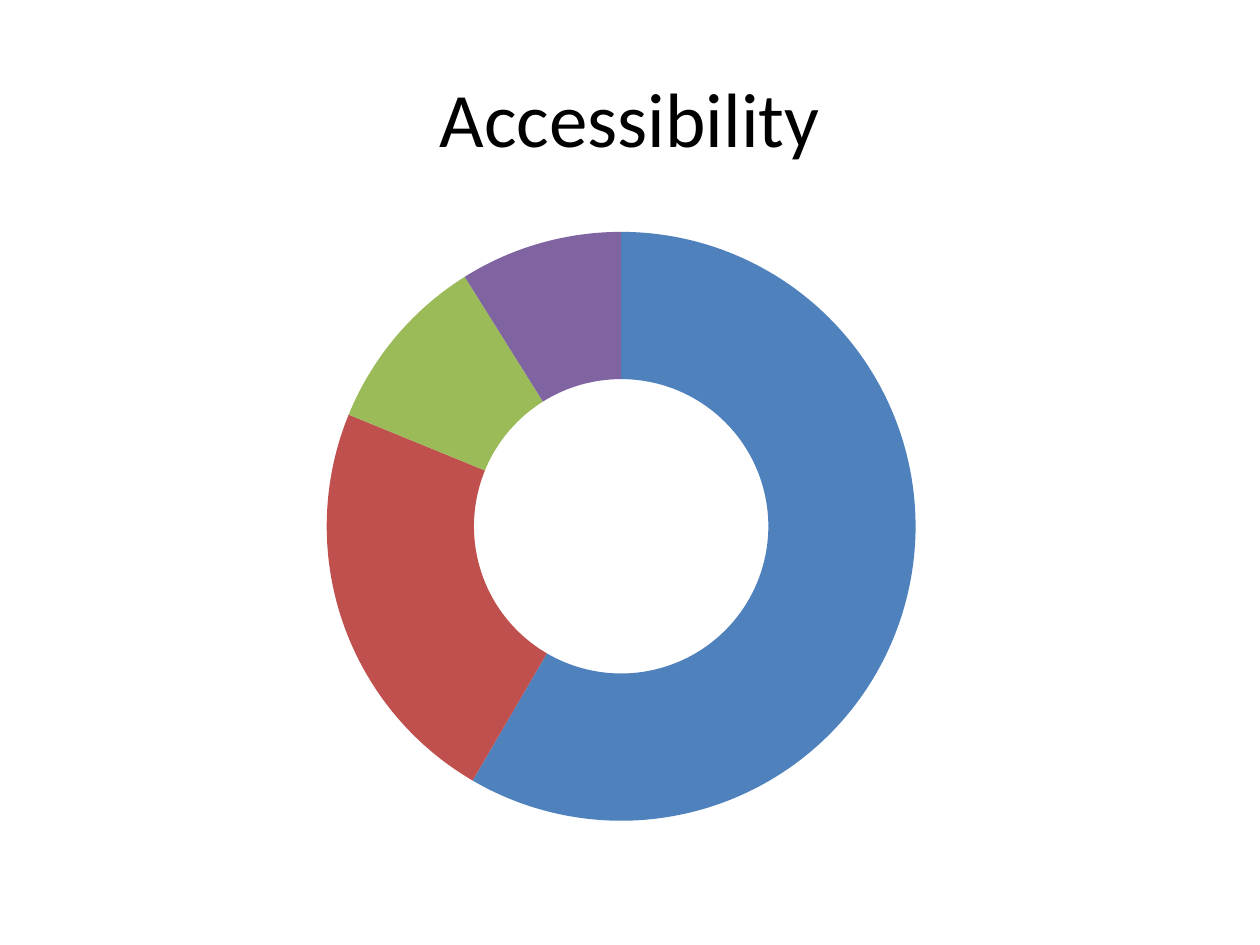
"""Build the Accessibility slide: a centred title above a four-part doughnut chart."""
import dataclasses

import pptx
import pptx.chart.data
import pptx.dml.color
import pptx.enum.chart
import pptx.enum.text
import pptx.slide
import pptx.util

RGBColor = pptx.dml.color.RGBColor
BLACK = RGBColor(0x00, 0x00, 0x00)
BLUE = RGBColor(0x4F, 0x81, 0xBD)
RED = RGBColor(0xC0, 0x50, 0x4D)
GREEN = RGBColor(0x9B, 0xBB, 0x59)
PURPLE = RGBColor(0x80, 0x64, 0xA2)
FONT = "Calibri"
WIDTH = pptx.util.Inches(10)
HEIGHT = pptx.util.Inches(7.5)


@dataclasses.dataclass(frozen=True)
class Area:
    left: float
    top: float
    width: float
    height: float

    def lengths(self) -> tuple[int, int, int, int]:
        return (
            round(self.left * WIDTH),
            round(self.top * HEIGHT),
            round(self.width * WIDTH),
            round(self.height * HEIGHT),
        )


@dataclasses.dataclass(frozen=True)
class Slice:
    label: str
    value: int
    color: RGBColor


TITLE_AREA = Area(0.05, 0.04, 0.9, 1 / 6)
CHART_AREA = Area(0.043, 0.227, 0.9, 0.66)
SLICES = (
    Slice("1", 59, BLUE),
    Slice("2", 23, RED),
    Slice("3", 10, GREEN),
    Slice("4", 9, PURPLE),
)


def style_font(font, size: int) -> None:
    font.name = FONT
    font.size = pptx.util.Pt(size)
    font.color.rgb = BLACK


def add_title(page: pptx.slide.Slide, area: Area, text: str) -> None:
    box = page.shapes.add_textbox(*area.lengths())
    frame = box.text_frame
    frame.word_wrap = True
    frame.vertical_anchor = pptx.enum.text.MSO_ANCHOR.MIDDLE
    frame.text = text
    para = frame.paragraphs[0]
    para.alignment = pptx.enum.text.PP_ALIGN.CENTER
    for span in para.runs:
        style_font(span.font, 44)


def add_doughnut(page: pptx.slide.Slide, area: Area, slices: tuple[Slice, ...]) -> None:
    data = pptx.chart.data.CategoryChartData()
    data.categories = [item.label for item in slices]
    data.add_series("Series 1", [item.value for item in slices])
    kind = pptx.enum.chart.XL_CHART_TYPE.DOUGHNUT
    chart = page.shapes.add_chart(kind, *area.lengths(), data).chart
    chart.has_title = False
    chart.has_legend = False
    style_font(chart.font, 18)
    plot = chart.plots[0]
    plot.vary_by_categories = True
    for index, item in enumerate(slices):
        fill = plot.series[0].points[index].format.fill
        fill.solid()
        fill.fore_color.rgb = item.color


def main() -> None:
    deck = pptx.Presentation()
    deck.slide_width, deck.slide_height = WIDTH, HEIGHT
    page = deck.slides.add_slide(deck.slide_layouts[6])
    add_title(page, TITLE_AREA, "Accessibility")
    add_doughnut(page, CHART_AREA, SLICES)
    deck.save("out.pptx")


if __name__ == "__main__":
    main()
